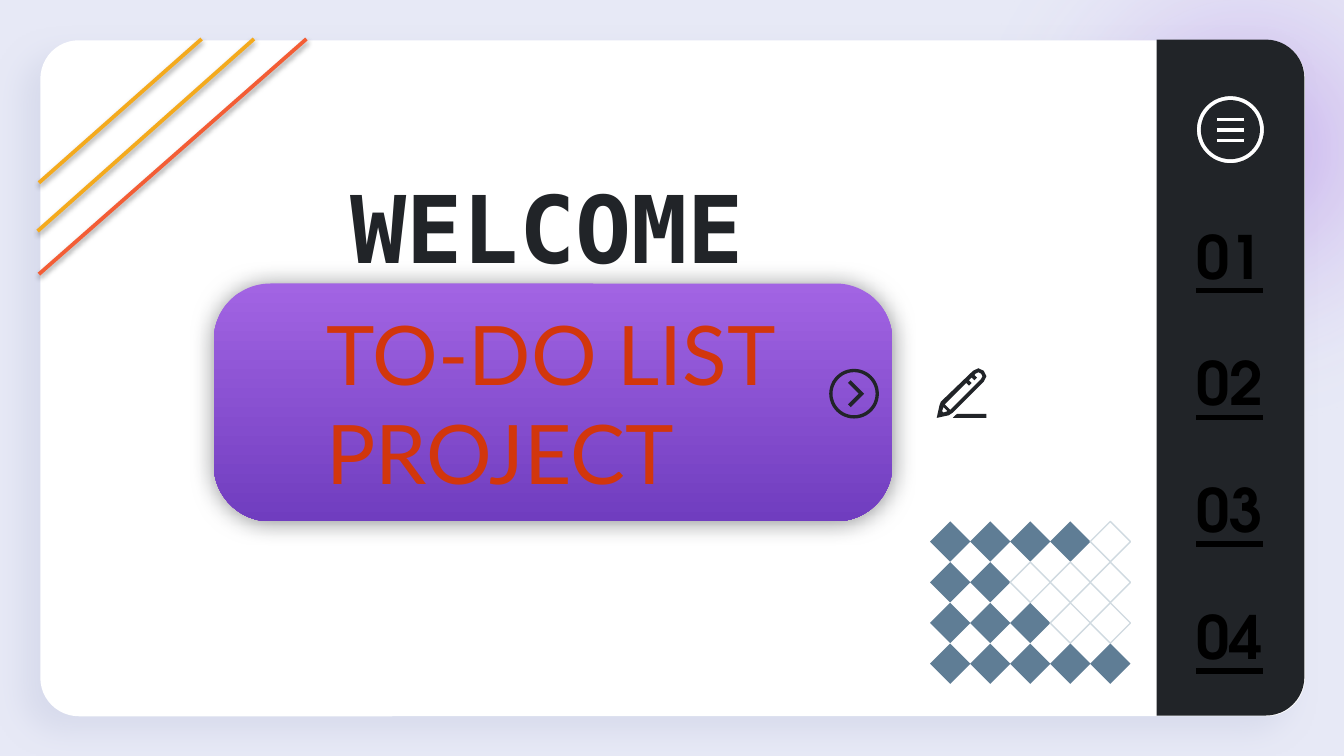
import math

from lxml import etree
from pptx import Presentation
from pptx.dml.color import RGBColor
from pptx.enum.shapes import MSO_CONNECTOR, MSO_SHAPE
from pptx.enum.text import MSO_ANCHOR, PP_ALIGN
from pptx.oxml import parse_xml
from pptx.oxml.ns import qn
from pptx.util import Inches, Pt

STRAIGHT = MSO_CONNECTOR.STRAIGHT
OVAL, DIAMOND = MSO_SHAPE.OVAL, MSO_SHAPE.DIAMOND
ROUNDED, TOP_ROUNDED = MSO_SHAPE.ROUNDED_RECTANGLE, MSO_SHAPE.ROUND_2_SAME_RECTANGLE
TOP, MIDDLE = MSO_ANCHOR.TOP, MSO_ANCHOR.MIDDLE
LEFT, CENTER = PP_ALIGN.LEFT, PP_ALIGN.CENTER

COLORS = {
    "back": "E7E9F6", "white": "FFFFFF", "dark": "212428", "black": "000000",
    "violet": "A264E3", "purple": "703DBF", "haze": "C7CCE2", "red": "D2360C",
    "amber": "F4AA1D", "coral": "F35D35", "steel": "5F7D95", "pale": "CFD9E0",
}
RGB = {name: RGBColor.from_string(value) for name, value in COLORS.items()}
NS = "http://schemas.openxmlformats.org/drawingml/2006/main"

prs = Presentation()
prs.slide_width = Inches(10)
prs.slide_height = prs.slide_width * 9 // 16
U = prs.slide_width // 100  # square grid: 100 columns across the slide
s = prs.slides.add_slide(prs.slide_layouts[6])
s.background.fill.solid()
s.background.fill.fore_color.rgb = RGB["back"]


def style(sp, fill=None, stops=None, radial=False, line=None, width=0.75, shadow=None):
    """Set fill or gradient stops (position, colour, opacity), line and shadow."""
    spPr = sp._element.spPr
    if fill:
        sp.fill.solid()
        sp.fill.fore_color.rgb = RGB[fill]
    elif hasattr(sp, "fill"):
        sp.fill.background()
    if stops:
        gs = "".join(
            f'<a:gs pos="{pos * 1000}"><a:srgbClr val="{COLORS[c]}">'
            f'<a:alpha val="{alpha * 1000}"/></a:srgbClr></a:gs>'
            for pos, c, alpha in stops)
        centre = " ".join(f'{side}="50000"' for side in "ltrb")
        way = (f'<a:path path="circle"><a:fillToRect {centre}/></a:path>'
               if radial else '<a:lin ang="5400000" scaled="0"/>')
        spPr.replace(spPr.find(qn("a:noFill")), parse_xml(
            f'<a:gradFill xmlns:a="{NS}"><a:gsLst>{gs}</a:gsLst>{way}</a:gradFill>'))
    if line:
        sp.line.color.rgb = RGB[line]
        sp.line.width = Pt(width)
    else:
        sp.line.fill.background()
    effects = etree.SubElement(spPr, qn("a:effectLst"))
    if shadow:
        color, alpha, blur, dist, angle = shadow
        outer = etree.SubElement(
            effects, qn("a:outerShdw"), blurRad=str(Pt(blur)), dist=str(Pt(dist)),
            dir=str(angle * 60000), algn="bl", rotWithShape="0")
        clr = etree.SubElement(outer, qn("a:srgbClr"), val=COLORS[color])
        etree.SubElement(clr, qn("a:alpha"), val=str(alpha * 1000))


def put_text(text, box, size, font, color, bold=False, underline=False,
             align=LEFT, anchor=TOP, insets=(1, 0, 1, 1), spacing=1.0):
    """Add a text box; box and insets are in grid units."""
    tf = s.shapes.add_textbox(*(int(v * U) for v in box)).text_frame
    tf.word_wrap = True
    tf.vertical_anchor = anchor
    tf.margin_left, tf.margin_top, tf.margin_right, tf.margin_bottom = (
        int(v * U) for v in insets)
    p = tf.paragraphs[0]
    p.alignment, p.line_spacing = align, spacing
    r = p.add_run()
    r.text = text
    r.font.size, r.font.name, r.font.color.rgb = Pt(size), font, RGB[color]
    r.font.bold, r.font.underline = bold, underline


# Glow, card, sidebar and title pill
panels = [
    (OVAL, (69.3, -12.2, 46.6, 46.6), [], 0, dict(
        stops=[(0, "violet", 49), (62, "back", 0), (100, "white", 0)], radial=True)),
    (ROUNDED, (3, 3, 94.1, 50.3), [0.057], 0, dict(
        fill="white", shadow=("haze", 47, 16.9, 12, 137))),
    (TOP_ROUNDED, (66.4, 22.6, 50.3, 11), [0.261, 0], 90, dict(fill="dark")),
    (ROUNDED, (15.9, 21.1, 50.5, 17.7), [0.238], 0, dict(
        stops=[(0, "violet", 100), (100, "purple", 100)],
        shadow=("dark", 50, 12.4, 0.8, 90))),
]
for kind, box, adjustments, rotation, look in panels:
    sp = s.shapes.add_shape(kind, *(int(v * U) for v in box))
    for i, value in enumerate(adjustments):
        sp.adjustments[i] = value
    sp.rotation = rotation
    style(sp, **look)

# Icons: each is one outline made of several closed contours
rings = {}
for name, cx, cy, radii in [("menu", 91.55, 9.65, (2.55, 2.15)),
                            ("next", 63.55, 29.3, (1.85, 1.6))]:
    rings[name] = [[(cx + radius * math.cos(k * math.pi / 24),
                     cy + radius * math.sin(k * math.pi / 24)) for k in range(48)]
                   for radius in radii]
bars = [[(90.5, y), (92.6, y), (92.6, y + 0.35), (90.5, y + 0.35)]
        for y in (8.7, 9.5, 10.3)]
chevron = [(63.3, 28.3), (64.3, 29.3), (63.3, 30.3), (63.1, 30.1), (63.9, 29.3), (63.1, 28.5)]
pencil = [
    [(72.8, 27.4), (72.4, 27.6), (70, 29.9), (69.9, 30.2), (69.7, 31.1),
     (70.6, 30.9), (70.9, 30.7), (73.2, 28.4), (73.4, 28), (73.2, 27.6)],
    [(72.8, 27.7), (73, 27.8), (73.1, 28), (73, 28.2), (70.7, 30.5),
     (70.3, 30.1), (71.9, 28.5), (72.1, 28.7), (72.3, 28.5), (72.1, 28.3),
     (72.3, 28.1), (72.5, 28.3), (72.7, 28.1), (72.5, 27.9), (72.6, 27.8)],
    [(70.2, 30.3), (70.5, 30.6), (70.2, 30.7), (70.1, 30.6)],
    [(71.2, 30.8), (70.9, 31.1), (73.4, 31.1), (73.4, 30.8)],
]
for contours, look in [(pencil, dict(fill="dark")),
                       (rings["next"] + [chevron], dict(fill="dark")),
                       (rings["menu"] + bars, dict(fill="white", line="dark"))]:
    scaled = [[(x * U, y * U) for x, y in contour] for contour in contours]
    builder = s.shapes.build_freeform(*scaled[0][0])
    builder.add_line_segments(scaled[0][1:], close=True)
    for contour in scaled[1:]:
        builder.move_to(*contour[0])
        builder.add_line_segments(contour[1:], close=True)
    style(builder.convert_to_shape(), **look)

# Sidebar numbers
for i in range(4):
    put_text(f"{i + 1:02}", (87.5, 16.3 + 9.43 * i, 8, 5.4), 32, "TeX Gyre Adventor",
             "black", bold=True, underline=True, align=CENTER, anchor=MIDDLE,
             insets=(1, 0, 1, 0))

# Title and subtitle
put_text("WELCOME", (25.1, 13.6, 36.6, 8.2), 50, "DejaVu Sans Mono", "dark",
         bold=True, spacing=0.9)
put_text("TO-DO LIST PROJECT", (22.8, 22.6, 36.6, 13.4), 44, "Lato", "red",
         insets=(1.5, 0, 1, 1))

# Corner stripes
for x1, y1, x2, color in [(2.9, 13.6, 15, "amber"), (2.8, 17.2, 18.9, "amber"),
                          (2.9, 20.4, 22.8, "coral")]:
    stripe = s.shapes.add_connector(STRAIGHT, *(int(v * U) for v in (x1, y1, x2, 2.9)))
    style(stripe, line=color, width=2, shadow=("black", 38, 3.1, 1.6, 90))

# Diamond grid: filled diamonds from the left, hollow ones after
for row, filled in enumerate((4, 2, 3, 5)):
    for col in range(5):
        sp = s.shapes.add_shape(DIAMOND, int((69.2 + 2.98 * col) * U),
                                int((38.8 + 3.03 * row) * U), 3 * U, 3 * U)
        style(sp, **(dict(fill="steel") if col < filled else dict(line="pale")))

prs.save("out.pptx")
